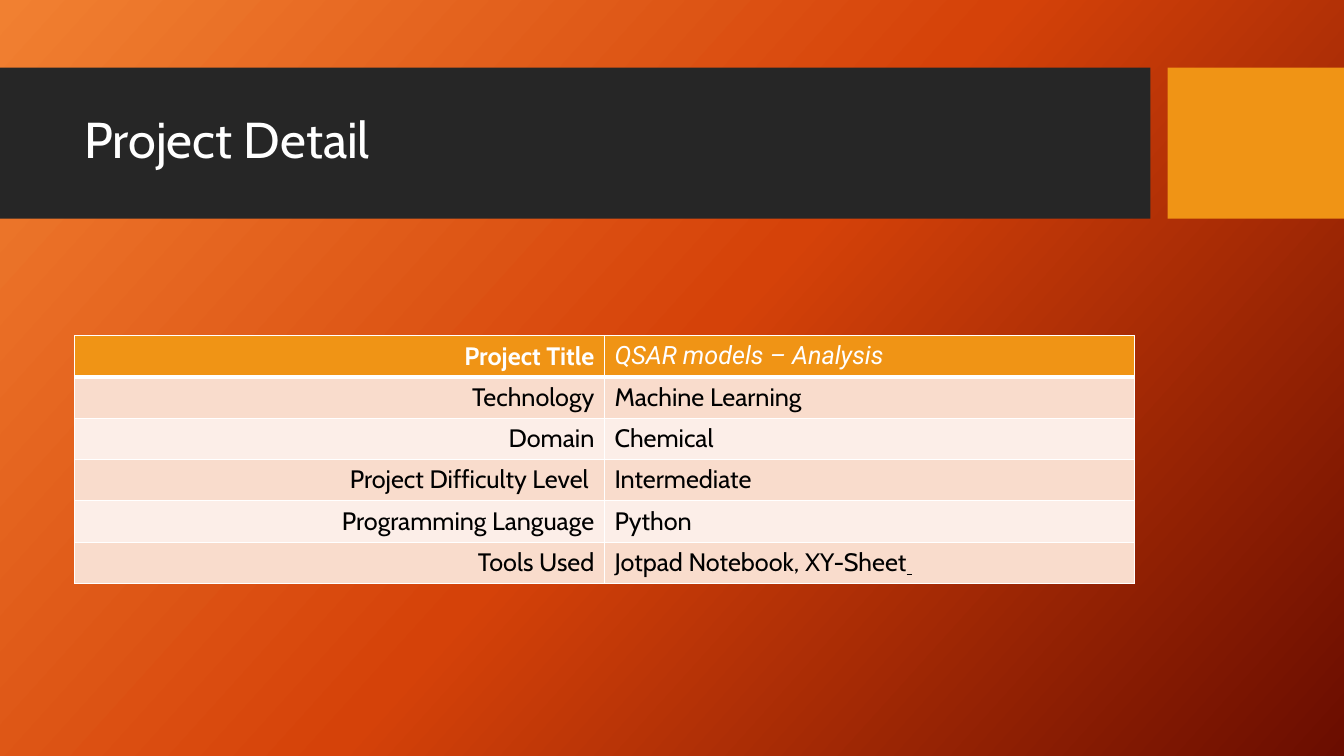
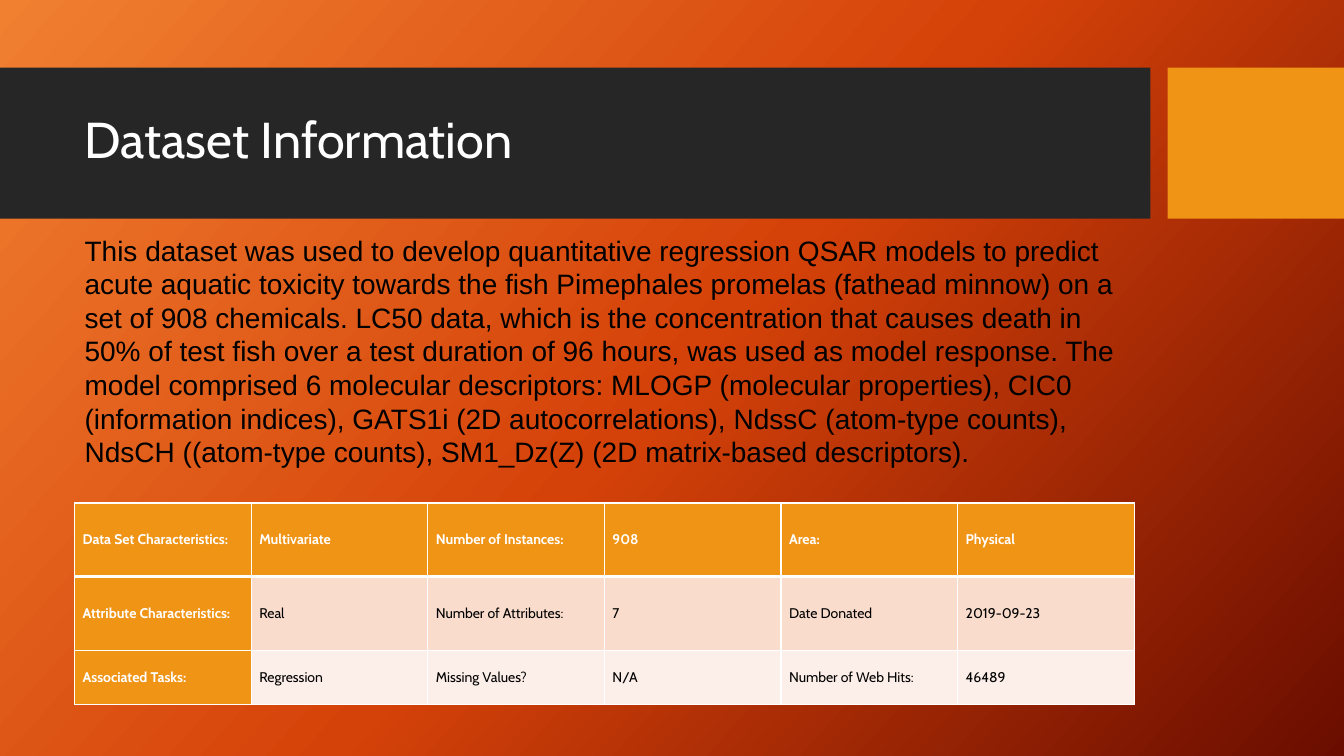
import copy
import pptx
import pptx.util
import pptx.oxml
import pptx.oxml.ns
from pptx.dml.color import RGBColor
from pptx.enum.shapes import MSO_SHAPE
from pptx.enum.text import MSO_ANCHOR, PP_ALIGN
from pptx.util import Inches

WHITE = RGBColor(0xFF, 0xFF, 0xFF)
BLACK = RGBColor(0x00, 0x00, 0x00)
DARK = RGBColor(0x26, 0x26, 0x26)
GOLD = RGBColor(0xF0, 0x94, 0x15)
PEACH = RGBColor(0xF9, 0xDC, 0xCC)
PALE = RGBColor(0xFC, 0xEE, 0xE8)
GLOW = [RGBColor(0xF1, 0x80, 0x31), RGBColor(0xD5, 0x42, 0x09), RGBColor(0x6A, 0x0D, 0x00)]

LEFT, WIDE = 0.74, 10.51
BANDS = [(0, 11.41, DARK), (11.58, 1.75, GOLD)]
TITLE = {"size": pptx.util.Pt(36), "name": "Cabin"}
BODY = {"size": pptx.util.Pt(20), "name": "Arial"}

TEXT = (
    "This dataset was used to develop quantitative regression QSAR models to predict "
    "acute aquatic toxicity towards the fish Pimephales promelas (fathead minnow) on a "
    "set of 908 chemicals. LC50 data, which is the concentration that causes death in "
    "50% of test fish over a test duration of 96 hours, was used as model response. The "
    "model comprised 6 molecular descriptors: MLOGP (molecular properties), CIC0 "
    "(information indices), GATS1i (2D autocorrelations), NdssC (atom-type counts), "
    "NdsCH ((atom-type counts), SM1_Dz(Z) (2D matrix-based descriptors)."
)

PAGES = [
    {
        "title": "Project Detail",
        "top": 3.33, "rows": [0.41] * 6, "size": 18, "side": False,
        "aligns": [PP_ALIGN.RIGHT, PP_ALIGN.LEFT],
        "cell": {"vertical_anchor": MSO_ANCHOR.TOP},
        "data": [
            ["Project Title", "QSAR models – Analysis"],
            ["Technology", "Machine Learning"],
            ["Domain", "Chemical"],
            ["Project Difficulty Level ", "Intermediate"],
            ["Programming Language", "Python"],
            ["Tools Used", "Jotpad Notebook, XY-Sheet"],
        ],
    },
    {
        "title": "Dataset Information", "text": TEXT,
        "top": 4.99, "rows": [0.73, 0.73, 0.54], "size": 10, "side": True,
        "aligns": [PP_ALIGN.LEFT] * 6,
        "cell": {
            "vertical_anchor": MSO_ANCHOR.MIDDLE,
            "margin_left": Inches(0.08), "margin_right": Inches(0.08),
            "margin_top": Inches(0.08), "margin_bottom": Inches(0.08),
        },
        "data": [
            ["Data Set Characteristics:", "Multivariate", "Number of Instances:", "908",
             "Area:", "Physical"],
            ["Attribute Characteristics:", "Real", "Number of Attributes:", "7",
             "Date Donated", "2019-09-23"],
            ["Associated Tasks:", "Regression", "Missing Values?", "N/A",
             "Number of Web Hits:", "46489"],
        ],
    },
]


def write(para, text, color, style):
    run = para.add_run()
    run.text = text
    run.font.color.rgb = color
    for key, value in style.items():
        setattr(run.font, key, value)


def add_text(slide, top, high, text, color, style):
    """Add a wrapped, vertically centred text box and return its paragraph."""
    box = slide.shapes.add_textbox(Inches(LEFT), Inches(top), Inches(WIDE), Inches(high))
    box.text_frame.word_wrap = True
    box.text_frame.vertical_anchor = MSO_ANCHOR.MIDDLE
    para = box.text_frame.paragraphs[0]
    write(para, text, color, style)
    return para


deck = pptx.Presentation()
deck.slide_width, deck.slide_height = Inches(13.33), Inches(7.5)
blank = deck.slide_layouts[6]

# The layout carries the three-colour gradient for every slide.
fill = blank.background.fill
fill.gradient()
fill.gradient_angle = 360 - 42
stops = blank.element.find(".//" + pptx.oxml.ns.qn("a:gsLst"))
stops.append(copy.deepcopy(stops[-1]))
for i, (stop, color) in enumerate(zip(fill.gradient_stops, GLOW)):
    stop.position = i / 2
    stop.color.rgb = color

for page in PAGES:
    slide = deck.slides.add_slide(blank)
    for x, width, color in BANDS:
        band = slide.shapes.add_shape(
            MSO_SHAPE.RECTANGLE, Inches(x), Inches(0.67), Inches(width), Inches(1.5))
        band.shadow.inherit = False
        band.fill.solid()
        band.fill.fore_color.rgb = color
        band.line.fill.background()
    add_text(slide, 0.82, 1.18, page["title"], WHITE, TITLE).line_spacing = 0.9

    data, rows = page["data"], page["rows"]
    count = len(data[0])
    table = slide.shapes.add_table(
        len(data), count, Inches(LEFT), Inches(page["top"]),
        Inches(WIDE), Inches(sum(rows))).table
    table.first_row = table.horz_banding = False
    for col in table.columns:
        col.width = Inches(WIDE / count)
    for r, line in enumerate(data):
        table.rows[r].height = Inches(rows[r])
        for c, text in enumerate(line):
            cell = table.cell(r, c)
            for key, value in page["cell"].items():
                setattr(cell, key, value)

            # Borders are thin, but the rule under the header is thick.
            thick = {"T": r == 1, "B": r == 0}
            for edge in "LRTB":
                width = pptx.util.Pt(3 if thick.get(edge) else 1)
                cell._tc.get_or_add_tcPr().append(pptx.oxml.parse_xml(
                    f'<a:ln{edge} {pptx.oxml.ns.nsdecls("a")} w="{width}"><a:solidFill>'
                    f'<a:srgbClr val="{WHITE}"/></a:solidFill></a:ln{edge}>'))

            head = r == 0 or (page["side"] and c == 0)
            cell.fill.solid()
            cell.fill.fore_color.rgb = GOLD if head else PEACH if r % 2 else PALE
            style = {"size": pptx.util.Pt(page["size"]), "name": "Cabin", "bold": head}
            if text.startswith("QSAR"):
                style.update(name="Roboto", bold=False, italic=True)
            para = cell.text_frame.paragraphs[0]
            para.alignment = page["aligns"][c]
            write(para, text, WHITE if head else BLACK, style)
            if text.endswith("Sheet"):
                write(para, " ", BLACK, {**style, "underline": True})

    if "text" in page:
        add_text(slide, 2.25, 2.46, page["text"], BLACK, BODY)

deck.save("out.pptx")
